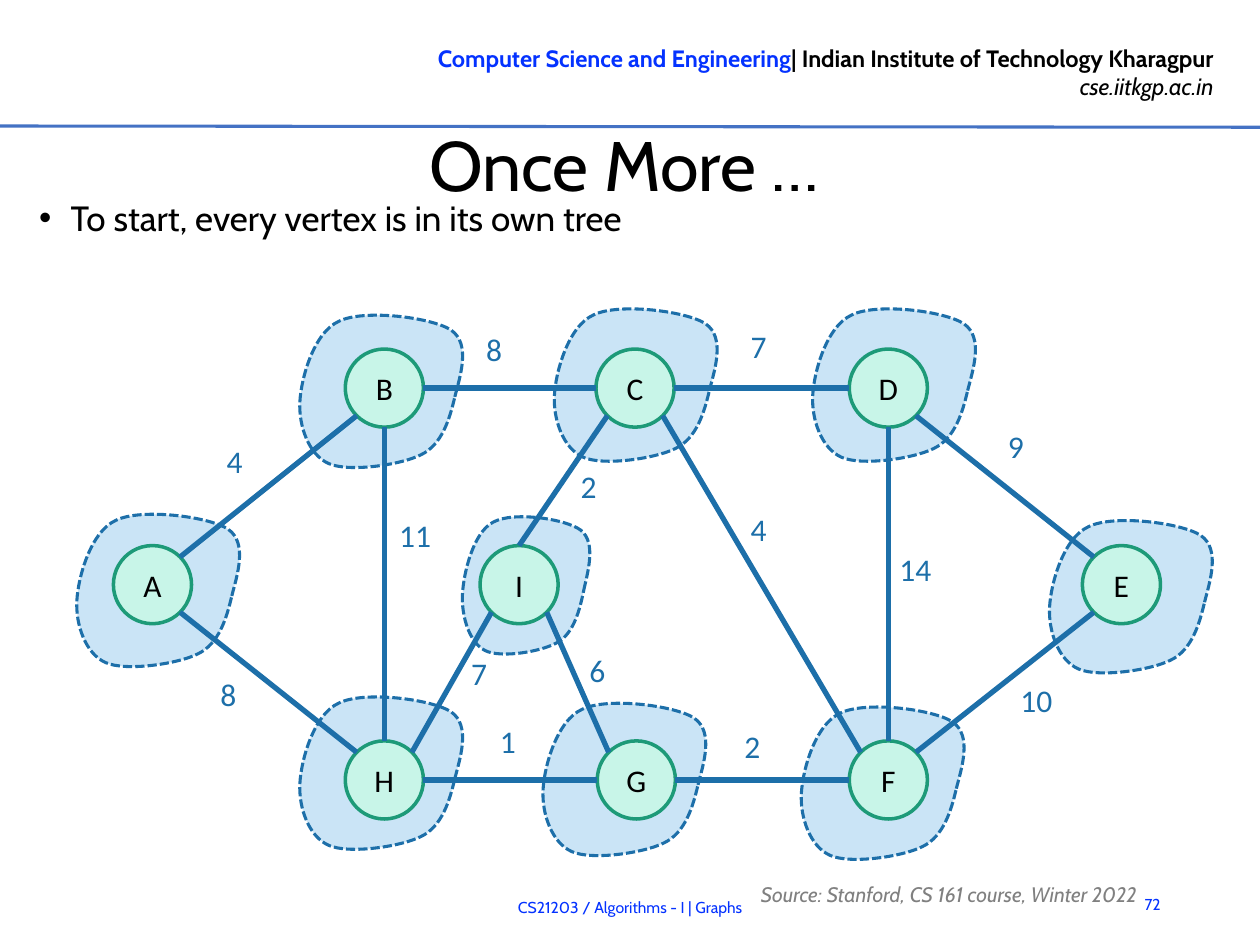
from math import sqrt

from lxml import etree
from pptx import Presentation
from pptx.dml.color import RGBColor
from pptx.enum import dml, shapes, text
from pptx.oxml import ns
from pptx.util import Inches, Pt

COLORS = {
    "black": "000000", "link": "0432FF", "rule": "4472C4", "source": "808080",
    "edge": "1D6FA9", "tree": "CAE4F6", "node": "C8F5E8", "ring": "1D9A78",
}
ALIGN = text.PP_ALIGN
MIDDLE = text.MSO_ANCHOR.MIDDLE
RADIUS = 0.31

# Node: centre, then left and top of its tree outline, relative to the graph box
NODES = {
    "A": (0.71, 2.24, 0.11, 1.68), "B": (2.55, 0.68, 1.88, 0.1),
    "C": (4.54, 0.68, 3.9, 0.05), "D": (6.55, 0.68, 5.95, 0.05),
    "E": (8.4, 2.24, 7.83, 1.73), "F": (6.55, 3.79, 5.86, 3.21),
    "G": (4.55, 3.79, 3.81, 3.18), "H": (2.55, 3.79, 1.88, 3.13),
    "I": (3.62, 2.24, 3.17, 1.7),
}
TREE_SIZE = (1.29, 1.21)
SMALL_TREES = {"I": (1.01, 1.09)}

# Edge: ends with the side each one leaves, weight, left and top of the weight
EDGES = [
    ("A", "ne", "B", "sw", 4, 1.2, 1.06), ("A", "se", "H", "nw", 8, 1.15, 2.91),
    ("B", "e", "C", "w", 8, 3.26, 0.17), ("B", "s", "H", "n", 11, 2.57, 1.65),
    ("C", "e", "D", "w", 7, 5.36, 0.15), ("C", "se", "F", "nw", 4, 5.36, 1.6),
    ("I", "n", "C", "sw", 2, 4.01, 1.26), ("I", "sw", "H", "ne", 7, 3.14, 2.74),
    ("I", "se", "G", "nw", 6, 4.08, 2.72), ("H", "e", "G", "w", 1, 3.37, 3.28),
    ("G", "e", "F", "w", 2, 5.31, 3.32), ("D", "s", "F", "n", 14, 6.54, 1.92),
    ("D", "se", "E", "nw", 9, 7.4, 0.94), ("E", "sw", "F", "ne", 10, 7.5, 2.96),
]

# Tree outline: start point, then Bezier segments, in a box of TREE_SIZE
OUTLINE_START = (1.23, 0.65)
OUTLINE = [
    ((1.27, 0.49), (1.36, 0.23), (1.2, 0.12)),
    ((1.05, 0.02), (0.51, -0.05), (0.31, 0.05)),
    ((0.11, 0.14), (0.01, 0.5), (0, 0.69)),
    ((-0.01, 0.88), (0.07, 1.11), (0.23, 1.18)),
    ((0.39, 1.25), (0.8, 1.19), (0.96, 1.11)),
    ((1.13, 1.03), (1.19, 0.82), (1.23, 0.65)),
]


def rgb(name):
    return RGBColor.from_string(COLORS[name])


def style_font(font, size, color, name="Cabin"):
    font.size, font.name = Pt(size), name
    font.color.rgb = rgb(color)


def place(sp, box):
    sp.left, sp.top, sp.width, sp.height = (Inches(v) for v in box)


def add_text(s, box, content, size, color, name="Cabin", align=ALIGN.LEFT, anchor=None):
    tf = s.shapes.add_textbox(*(Inches(v) for v in box)).text_frame
    tf.word_wrap = True
    tf.vertical_anchor = anchor
    p = tf.paragraphs[0]
    p.text, p.alignment = content, align
    style_font(p.font, size, color, name)
    return tf


def add_line(s, start, end, color, width):
    ends = [Inches(v) for v in (*start, *end)]
    sp = s.shapes.add_connector(shapes.MSO_CONNECTOR.STRAIGHT, *ends)
    sp.line.color.rgb, sp.line.width = rgb(color), Pt(width)
    etree.SubElement(sp._element.spPr, ns.qn("a:effectLst"))


def add_header(s, box):
    left, top, width, height = box
    tf = add_text(s, (left + 2.65, top + 0.3, 7.08, 0.56), "", 13.5, "black", align=ALIGN.RIGHT)
    p = tf.paragraphs[0]
    p.font.bold = True
    for content, color in (("Computer Science and Engineering", "link"),
                           ("| Indian Institute of Technology Kharagpur", "black")):
        r = p.add_run()
        r.text = content
        r.font.color.rgb = rgb(color)
    p = tf.add_paragraph()
    p.text, p.alignment = "cse.iitkgp.ac.in", ALIGN.RIGHT
    style_font(p.font, 13.5, "black")
    p.font.italic = True
    add_line(s, (left, top + height), (left + width, top + height + 0.01), "rule", 1.75)


def fill_title(sp, box):
    place(sp, box)
    tf = sp.text_frame
    tf.text = "Once More …"
    tf.auto_size = text.MSO_AUTO_SIZE.NONE
    tf.vertical_anchor = MIDDLE
    tf.margin_left = tf.margin_right = tf.margin_bottom = 0
    tf.margin_top = Inches(0.01)
    p = tf.paragraphs[0]
    p.alignment, p.space_before = ALIGN.CENTER, Pt(0.7)
    style_font(p.font, 40, "black")
    p._p.get_or_add_pPr().set("marL", str(Inches(0.01)))


def fill_body(sp, box):
    place(sp, box)
    tf = sp.text_frame
    tf.text = "To start, every vertex is in its own tree"
    tf.auto_size = text.MSO_AUTO_SIZE.NONE
    p = tf.paragraphs[0]
    p.line_spacing, p.space_before, p.space_after = Pt(17), Pt(2), Pt(2)
    style_font(p.font, 20, "black")
    pPr = p._p.get_or_add_pPr()
    pPr.set("marL", str(Inches(0.25)))
    pPr.set("indent", str(-Inches(0.25)))


def add_tree(s, box):
    left, top, width, height = box
    builder = s.shapes.build_freeform(Inches(left), Inches(top))
    builder.add_line_segments([(Inches(left + width), Inches(top + height))], close=True)
    sp = builder.convert_to_shape()

    # Curves take the place of the straight diagonal that sets the size
    outline = sp._element.spPr.find(".//" + ns.qn("a:path"))
    for child in list(outline):
        outline.remove(child)
    steps = [("a:moveTo", [OUTLINE_START])] + [("a:cubicBezTo", c) for c in OUTLINE]
    for tag, points in steps:
        step = etree.SubElement(outline, ns.qn(tag))
        for x, y in points:
            etree.SubElement(step, ns.qn("a:pt"),
                             x=str(Inches(x * width / TREE_SIZE[0])),
                             y=str(Inches(y * height / TREE_SIZE[1])))
    etree.SubElement(outline, ns.qn("a:close"))

    sp.shadow.inherit = False
    sp.fill.solid()
    sp.fill.fore_color.rgb = rgb("tree")
    sp.line.color.rgb, sp.line.width = rgb("edge"), Pt(1.75)
    sp.line.dash_style = dml.MSO_LINE.SQUARE_DOT


def add_node(s, x, y, label):
    box = (x - RADIUS, y - RADIUS, 2 * RADIUS, 2 * RADIUS)
    sp = s.shapes.add_shape(shapes.MSO_SHAPE.OVAL, *(Inches(v) for v in box))
    sp.shadow.inherit = False
    sp.fill.solid()
    sp.fill.fore_color.rgb = rgb("node")
    sp.line.color.rgb, sp.line.width = rgb("ring"), Pt(2)
    tf = sp.text_frame
    tf.vertical_anchor = MIDDLE
    p = tf.paragraphs[0]
    p.text, p.alignment = label, ALIGN.CENTER
    style_font(p.font, 18, "black", "Calibri")


def rim_point(left, top, name, side):
    x, y = NODES[name][:2]
    dx, dy = ("e" in side) - ("w" in side), ("s" in side) - ("n" in side)
    reach = RADIUS / sqrt(dx * dx + dy * dy)
    return left + x + dx * reach, top + y + dy * reach


def add_graph(s, box):
    left, top = box[:2]
    for name, (_, _, x, y) in NODES.items():
        add_tree(s, (left + x, top + y, *SMALL_TREES.get(name, TREE_SIZE)))
    for name, (x, y, _, _) in NODES.items():
        add_node(s, left + x, top + y, name)
    for a, a_side, b, b_side, weight, x, y in EDGES:
        add_line(s, rim_point(left, top, a, a_side), rim_point(left, top, b, b_side), "edge", 3)
        add_text(s, (left + x, top + y, 0.86, 0.5), str(weight), 18, "edge", "Calibri")


def add_footer(s, box):
    left, top = box[:2]
    add_text(s, (left + 1.65, top + 0.07, 6.7, 0.4), "CS21203 / Algorithms - I | Graphs",
             9, "link", align=ALIGN.CENTER, anchor=MIDDLE)
    add_text(s, (left + 8.82, top + 0.05, 0.49, 0.4), "72", 9, "link",
             align=ALIGN.RIGHT, anchor=MIDDLE)
    tf = add_text(s, (left + 5.94, top, 4.02, 0.23),
                  "Source: Stanford, CS 161 course, Winter 2022", 12, "source", anchor=MIDDLE)
    p = tf.paragraphs[0]
    p.font.italic, p.line_spacing = True, Pt(21.3)


def main():
    prs = Presentation()
    prs.slide_width, prs.slide_height = Inches(10), Inches(7.5)
    s = prs.slides.add_slide(prs.slide_layouts[1])
    add_header(s, (0, 0, 10, 1))
    fill_title(s.shapes.title, (0.32, 0.95, 9.26, 0.68))
    fill_body(s.placeholders[1], (0.21, 1.61, 9.37, 0.4))
    add_graph(s, (0.5, 2.4, 9.2, 4.5))
    add_footer(s, (0, 6.93, 10, 0.5))
    prs.save("out.pptx")


if __name__ == "__main__":
    main()
